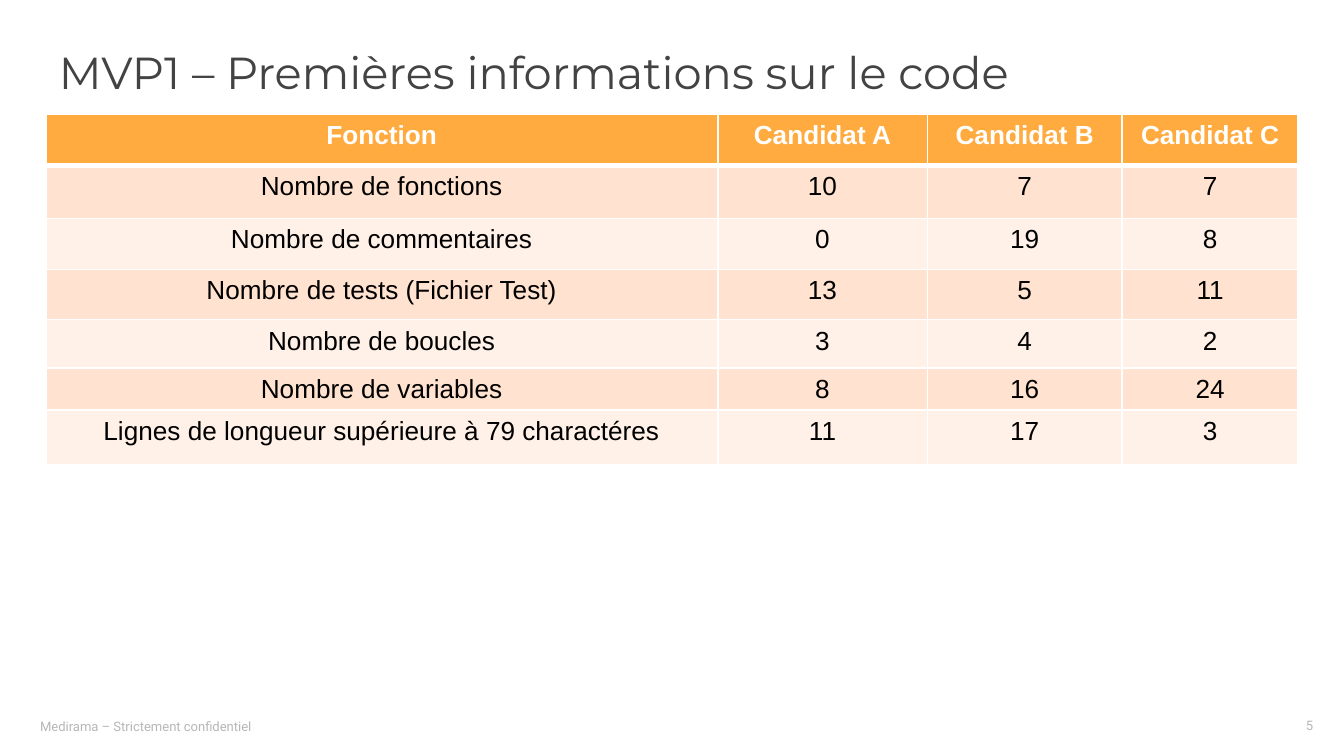
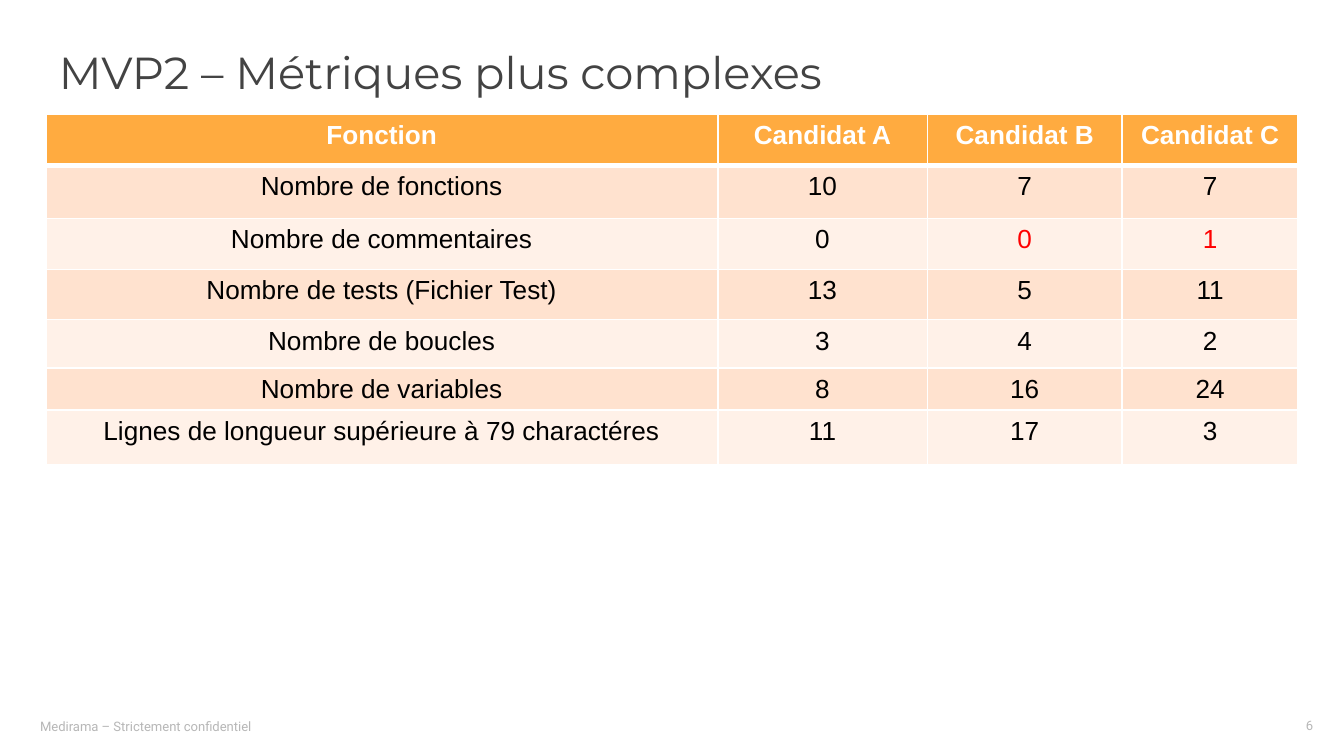
from dataclasses import dataclass

from lxml import etree
from pptx import Presentation
from pptx.dml.color import RGBColor
from pptx.enum.text import MSO_ANCHOR, PP_ALIGN
from pptx.oxml.ns import qn
from pptx.slide import Slide
from pptx.table import _Cell
from pptx.util import Pt

LEFT, CENTER, RIGHT = PP_ALIGN.LEFT, PP_ALIGN.CENTER, PP_ALIGN.RIGHT
MIDDLE = MSO_ANCHOR.MIDDLE

COLORS = {
    "background": "FFFFFF",
    "title": "434343",
    "footer": "B7B7B7",
    "header": "FFAB40",
    "header_text": "FFFFFF",
    "odd_row": "FFE2CF",
    "even_row": "FFF1E8",
    "body_text": "000000",
    "changed": "FF0000",
    "border": "FFFFFF",
}


@dataclass(frozen=True)
class TextStyle:
    font: str
    size: float
    color: str
    align: PP_ALIGN = LEFT
    bold: bool = False


@dataclass(frozen=True)
class Box:
    left: float
    top: float
    width: float
    height: float


@dataclass(frozen=True)
class Metric:
    label: str
    values: tuple[int, ...]
    changed: tuple[int, ...] = ()


@dataclass(frozen=True)
class Report:
    number: int
    title: str
    comments: Metric


TITLE_STYLE = TextStyle("Montserrat", 24, "title")
FOOTER_STYLE = TextStyle("Roboto", 7, "footer")
NUMBER_STYLE = TextStyle("Roboto", 7, "footer", RIGHT)
HEADER_STYLE = TextStyle("Arial", 14, "header_text", CENTER, True)
BODY_STYLE = TextStyle("Arial", 14, "body_text", CENTER)
CHANGED_STYLE = TextStyle("Arial", 14, "changed", CENTER)

TITLE_BOX = Box(24.5, 15.8, 671, 45.4)
FOOTER_BOX = Box(14.4, 380.9, 138.2, 16.6)
NUMBER_BOX = Box(667.4, 378.7, 43.2, 19.4)
TABLE_BOX = Box(24.5, 61.2, 671, 189)

FOOTER = "Medirama – Strictement confidentiel"
HEADINGS = ("Fonction", "Candidat A", "Candidat B", "Candidat C")
COLUMN_WIDTHS = (360, 112.3, 104.4, 94.3)
ROW_HEIGHTS = (27.3, 28.5, 27.3, 27, 25.9, 22.4, 29.4)
THIN, THICK = 1, 3

FUNCTIONS = Metric("Nombre de fonctions", (10, 7, 7))
OTHER_METRICS = (
    Metric("Nombre de tests (Fichier Test)", (13, 5, 11)),
    Metric("Nombre de boucles", (3, 4, 2)),
    Metric("Nombre de variables", (8, 16, 24)),
    Metric("Lignes de longueur supérieure à 79 charactéres", (11, 17, 3)),
)
COMMENTS = "Nombre de commentaires"
REPORTS = (
    Report(5, "MVP1 – Premières informations sur le code",
           Metric(COMMENTS, (0, 19, 8))),
    Report(6, "MVP2 – Métriques plus complexes",
           Metric(COMMENTS, (0, 0, 1), changed=(1, 2))),
)


def rgb(name: str) -> RGBColor:
    return RGBColor.from_string(COLORS[name])


def write(frame, text: str, style: TextStyle) -> None:
    paragraph = frame.paragraphs[0]
    paragraph.text = text
    paragraph.alignment = style.align
    paragraph.font.name = style.font
    paragraph.font.size = Pt(style.size)
    paragraph.font.bold = style.bold
    paragraph.font.color.rgb = rgb(style.color)


def add_text(slide: Slide, box: Box, text: str, style: TextStyle) -> None:
    frame = slide.shapes.add_textbox(
        Pt(box.left), Pt(box.top), Pt(box.width), Pt(box.height)).text_frame
    frame.word_wrap = True
    frame.vertical_anchor = MIDDLE
    frame.margin_left = frame.margin_right = Pt(7.2)
    frame.margin_top = frame.margin_bottom = Pt(7.2)
    write(frame, text, style)


def set_borders(cell: _Cell, top: float, bottom: float) -> None:
    properties = cell._tc.get_or_add_tcPr()
    widths = {"a:lnL": THIN, "a:lnR": THIN, "a:lnT": top, "a:lnB": bottom}
    for position, (tag, width) in enumerate(widths.items()):
        line = etree.Element(qn(tag), w=str(Pt(width)))
        fill = etree.SubElement(line, qn("a:solidFill"))
        etree.SubElement(fill, qn("a:srgbClr"), val=COLORS["border"])
        properties.insert(position, line)


def fill_cell(cell: _Cell, text: str, style: TextStyle, row: int) -> None:
    background = "header" if row == 0 else "odd_row" if row % 2 else "even_row"
    cell.fill.solid()
    cell.fill.fore_color.rgb = rgb(background)
    cell.margin_bottom = Pt(2)
    write(cell.text_frame, text, style)
    set_borders(cell, top=THICK if row == 1 else THIN,
                bottom=THICK if row == 0 else THIN)


def add_metrics(slide: Slide, metrics: tuple[Metric, ...]) -> None:
    table = slide.shapes.add_table(
        len(metrics) + 1, len(HEADINGS), Pt(TABLE_BOX.left), Pt(TABLE_BOX.top),
        Pt(TABLE_BOX.width), Pt(TABLE_BOX.height)).table
    table.horz_banding = False
    for column, width in zip(table.columns, COLUMN_WIDTHS):
        column.width = Pt(width)
    for row, height in zip(table.rows, ROW_HEIGHTS):
        row.height = Pt(height)
    for index, heading in enumerate(HEADINGS):
        fill_cell(table.cell(0, index), heading, HEADER_STYLE, 0)
    for row, metric in enumerate(metrics, start=1):
        fill_cell(table.cell(row, 0), metric.label, BODY_STYLE, row)
        for candidate, value in enumerate(metric.values):
            style = CHANGED_STYLE if candidate in metric.changed else BODY_STYLE
            fill_cell(table.cell(row, candidate + 1), str(value), style, row)


def add_report(deck, report: Report) -> None:
    slide = deck.slides.add_slide(deck.slide_layouts[6])
    slide.background.fill.solid()
    slide.background.fill.fore_color.rgb = rgb("background")
    add_text(slide, FOOTER_BOX, FOOTER, FOOTER_STYLE)
    add_text(slide, TITLE_BOX, report.title, TITLE_STYLE)
    add_text(slide, NUMBER_BOX, str(report.number), NUMBER_STYLE)
    add_metrics(slide, (FUNCTIONS, report.comments, *OTHER_METRICS))


deck = Presentation()
deck.slide_width, deck.slide_height = Pt(720), Pt(405)
for report in REPORTS:
    add_report(deck, report)
deck.save("out.pptx")
